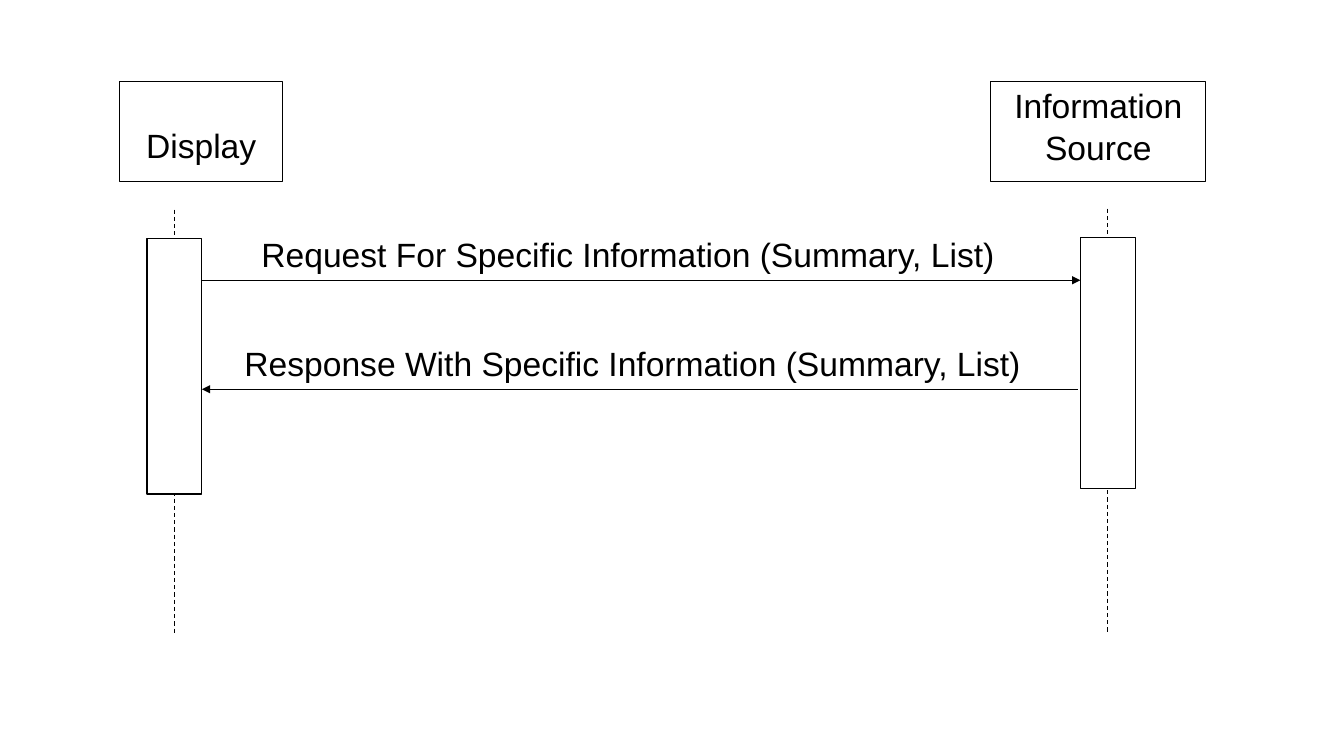
from dataclasses import dataclass

from lxml.etree import SubElement
from pptx import Presentation
from pptx.dml.color import RGBColor
from pptx.enum.dml import MSO_LINE_DASH_STYLE as Dash
from pptx.enum.shapes import MSO_CONNECTOR as Connector, MSO_SHAPE as Preset
from pptx.enum.text import MSO_ANCHOR as Anchor, PP_ALIGN as Align
from pptx.oxml.ns import qn
from pptx.shapes.autoshape import Shape
from pptx.slide import Slide
from pptx.util import Pt

BLACK = "000000"
WHITE = "FFFFFF"
FONT = "Arial"
FONT_SIZE = 24
LINE_SPACING = 1.04
INSET = 1
LINE_WIDTH = 0.75
HEADER_TOP, HEADER_HEIGHT = 58.3, 71.3
LIFELINE_LENGTH = 303.8
BAR_WIDTH = 39.2
BAR_OFFSET = 20.9  # from the top of the lifeline to its activation bar


@dataclass
class Participant:
    name: str
    header_left: float
    header_width: float
    text_inset: float
    axis: float
    lifeline_top: float
    bar_height: float


@dataclass
class Message:
    text: str
    left: float
    top: float
    width: float
    height: float
    start: float
    end: float
    arrow_y: float


PARTICIPANTS = [
    Participant("Display", 85.7, 115.9, 29.7, 124.6, 149.8, 182.2),
    Participant("Information Source", 707.8, 153.4, INSET, 791.3, 149, 179.3),
]
MESSAGES = [
    Message("Request For Specific Information (Summary, List)",
            157, 164.9, 583.2, 46.8, 144.2, 771.7, 200.2),
    Message("Response With Specific Information (Summary, List)",
            149, 242.6, 605.5, 38.2, 769.7, 144.2, 278),
]


def color(value: str) -> RGBColor:
    return RGBColor.from_string(value)


def write(shape: Shape, text: str, *, top_inset: float = INSET,
          size: float = FONT_SIZE, font_color: str = BLACK) -> None:
    frame = shape.text_frame
    frame.word_wrap = True
    frame.vertical_anchor = Anchor.TOP
    frame.margin_left = frame.margin_right = frame.margin_bottom = Pt(INSET)
    frame.margin_top = Pt(top_inset)
    paragraph = frame.paragraphs[0]
    paragraph.text = text
    paragraph.alignment = Align.CENTER
    paragraph.line_spacing = LINE_SPACING
    paragraph.font.name = FONT
    paragraph.font.size = Pt(size)
    paragraph.font.color.rgb = color(font_color)


def add_box(slide: Slide, left: float, top: float, width: float,
            height: float) -> Shape:
    box = slide.shapes.add_shape(
        Preset.RECTANGLE, Pt(left), Pt(top), Pt(width), Pt(height))
    box.shadow.inherit = False
    box.fill.solid()
    box.fill.fore_color.rgb = color(WHITE)
    box.line.color.rgb = color(BLACK)
    box.line.width = Pt(LINE_WIDTH)
    return box


def add_line(slide: Slide, x1: float, y1: float, x2: float, y2: float, *,
             dashed: bool = False, arrow: bool = False) -> None:
    connector = slide.shapes.add_connector(
        Connector.STRAIGHT, Pt(x1), Pt(y1), Pt(x2), Pt(y2))
    connector.line.color.rgb = color(BLACK)
    connector.line.width = Pt(LINE_WIDTH)
    if dashed:
        connector.line.dash_style = Dash.DASH
    properties = connector._element.spPr
    if arrow:
        SubElement(properties.find(qn("a:ln")), qn("a:tailEnd"), type="triangle")
    SubElement(properties, qn("a:effectLst"))


def add_participant(slide: Slide, participant: Participant) -> None:
    header = add_box(slide, participant.header_left, HEADER_TOP,
                     participant.header_width, HEADER_HEIGHT)
    write(header, participant.name, top_inset=participant.text_inset)
    axis, top = participant.axis, participant.lifeline_top
    add_line(slide, axis, top, axis, top + LIFELINE_LENGTH, dashed=True)
    add_box(slide, axis - BAR_WIDTH / 2, top + BAR_OFFSET,
            BAR_WIDTH, participant.bar_height)


def add_message(slide: Slide, message: Message) -> None:
    label = slide.shapes.add_textbox(
        Pt(message.left), Pt(message.top), Pt(message.width), Pt(message.height))
    write(label, message.text)
    add_line(slide, message.start, message.arrow_y,
             message.end, message.arrow_y, arrow=True)


def main() -> None:
    presentation = Presentation()
    presentation.slide_width = Pt(960)
    presentation.slide_height = Pt(540)
    slide = presentation.slides.add_slide(presentation.slide_layouts[6])
    for participant in PARTICIPANTS:
        add_participant(slide, participant)
    for message in MESSAGES:
        add_message(slide, message)
    presentation.save("out.pptx")


if __name__ == "__main__":
    main()
